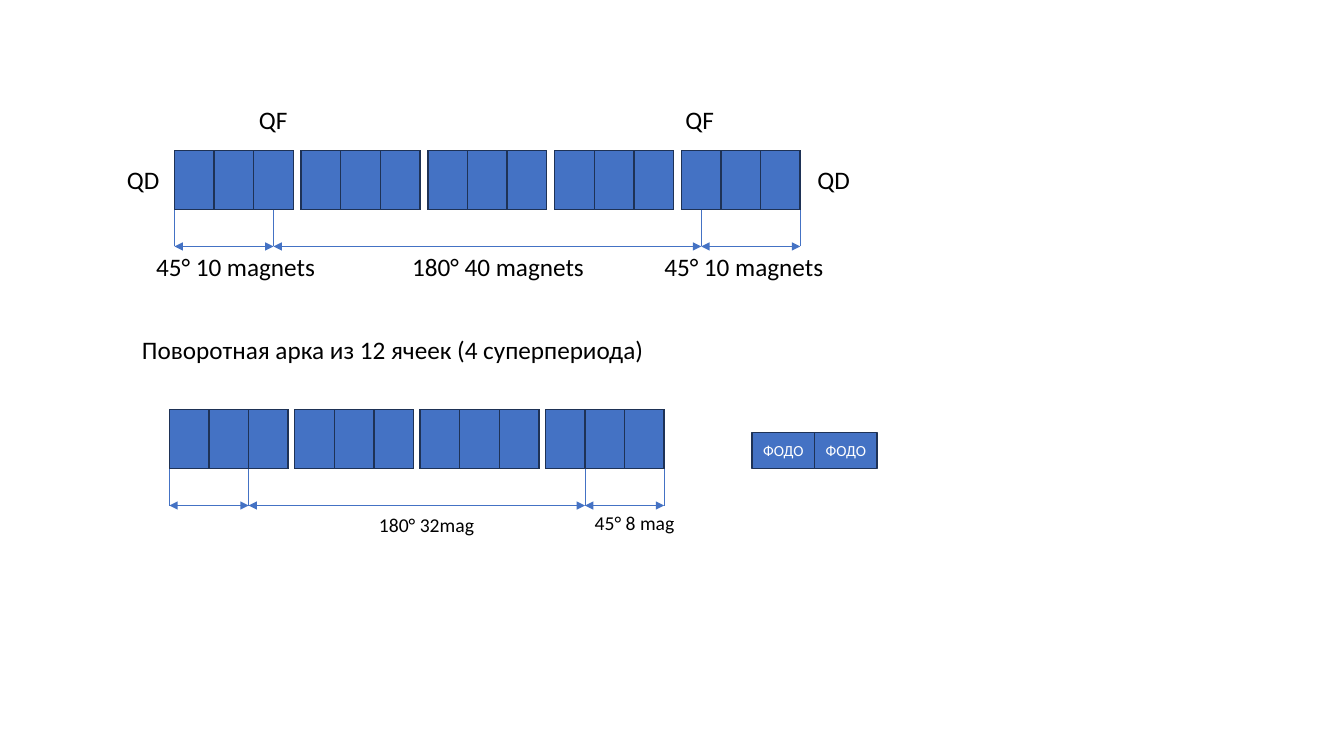
from dataclasses import dataclass

from lxml import etree
from pptx import Presentation
from pptx import util as u
from pptx.dml.color import RGBColor
from pptx.enum import shapes, text
from pptx.oxml.ns import qn


@dataclass(frozen=True)
class Theme:
    font: str = "Calibri"
    magnet: RGBColor = RGBColor(0x44, 0x72, 0xC4)
    edge: RGBColor = RGBColor(0x1E, 0x32, 0x56)
    ink: RGBColor = RGBColor(0, 0, 0)
    paper: RGBColor = RGBColor(255, 255, 255)
    large: int = 18
    medium: int = 14
    small: int = 11


class Diagram:
    """Draws on one slide; lengths are columns and rows of a 0.1 inch grid."""

    UNIT = 0.1
    CELL = 3.93
    CELLS = 3
    HEIGHT = 5.9
    DROP = 3.65

    def __init__(self, slide, theme):
        self.slide = slide
        self.theme = theme

    def grid(self, *lengths):
        return [u.Inches(length * self.UNIT) for length in lengths]

    def style(self, paragraph, size, color):
        paragraph.font.name = self.theme.font
        paragraph.font.size = u.Pt(size)
        paragraph.font.color.rgb = color

    def box(self, col, row, width, height, filled=True, caption=""):
        box = self.slide.shapes.add_shape(
            shapes.MSO_SHAPE.RECTANGLE, *self.grid(col, row, width, height))
        box.shadow.inherit = False
        box.line.width = u.Pt(1)
        box.line.color.rgb = self.theme.edge if filled else self.theme.ink
        if filled:
            box.fill.solid()
            box.fill.fore_color.rgb = self.theme.magnet
        else:
            box.fill.background()
        if caption:
            box.text_frame.vertical_anchor = text.MSO_ANCHOR.MIDDLE
            paragraph = box.text_frame.paragraphs[0]
            paragraph.text = caption
            paragraph.alignment = text.PP_ALIGN.CENTER
            self.style(paragraph, self.theme.small, self.theme.paper)

    def label(self, caption, col, row, width, size, wrap=False):
        height = 4 if size == self.theme.large else 3.4
        area = self.slide.shapes.add_textbox(*self.grid(col, row, width, height))
        frame = area.text_frame
        frame.word_wrap = wrap
        frame.auto_size = text.MSO_AUTO_SIZE.SHAPE_TO_FIT_TEXT
        frame.paragraphs[0].text = caption
        self.style(frame.paragraphs[0], size, self.theme.ink)

    def line(self, start, end, arrows=False):
        line = self.slide.shapes.add_connector(
            shapes.MSO_CONNECTOR.STRAIGHT, *self.grid(*start, *end))
        line.line.color.rgb = self.theme.magnet
        line.line.width = u.Pt(0.5)
        properties = line._element.spPr
        if arrows:
            for tip in ("a:headEnd", "a:tailEnd"):
                etree.SubElement(properties.find(qn("a:ln")), qn(tip), type="triangle")
        etree.SubElement(properties, qn("a:effectLst"))

    def arc(self, col, row, groups, pitch, end_cells):
        """Groups of magnets, dimensioned at end_cells from either end."""
        width = self.CELLS * self.CELL
        for group in range(groups):
            left = col + group * pitch
            self.box(left, row, width, self.HEIGHT, filled=False)
            for cell in range(self.CELLS):
                self.box(left + cell * self.CELL, row, self.CELL, self.HEIGHT)

        right = col + (groups - 1) * pitch + width
        inset = end_cells * self.CELL
        marks = [col, col + inset, right - inset, right]
        bottom = row + self.HEIGHT
        level = bottom + self.DROP
        for mark in marks:
            self.line((mark, bottom), (mark, level))
        for start, end in zip(marks, marks[1:]):
            self.line((start, level), (end, level), arrows=True)


def main():
    deck = Presentation()
    deck.slide_width, deck.slide_height = u.Inches(13.33), u.Inches(7.5)
    blank = deck.slide_layouts[6]
    theme = Theme()
    diagram = Diagram(deck.slides.add_slide(blank), theme)

    # Upper arc: five groups with quadrupoles
    diagram.arc(17.3, 14.9, groups=5, pitch=12.57, end_cells=2.5)
    for quadrupole, col, row, width in (
            ("QD", 11.6, 15.8, 5.3), ("QD", 80.1, 15.8, 5.3),
            ("QF", 24.7, 9.9, 4.9), ("QF", 67, 9.9, 4.9)):
        diagram.label(quadrupole, col, row, width, theme.large)
    diagram.label("180° 40 magnets", 39.9, 24.4, 19.3, theme.large)
    for col in (14.5, 64.9):
        diagram.label("45° 10 magnets", col, 24.4, 21.3, theme.large, wrap=True)

    # Lower arc: four superperiods
    diagram.label("Поворотная арка из 12 ячеек (4 суперпериода)",
                  13.1, 32.7, 52.4, theme.large)
    diagram.arc(16.8, 40.6, groups=4, pitch=12.43, end_cells=2)
    diagram.label("180° 32mag", 36.6, 50.4, 12, theme.medium)
    diagram.label("45° 8 mag", 58, 50.2, 10.1, theme.medium, wrap=True)

    # Pair of FODO cells
    for cell in range(2):
        diagram.box(74.6 + cell * 6.2, 42.9, 6.2, 3.6, caption="ФОДО")

    deck.save("out.pptx")


if __name__ == "__main__":
    main()
